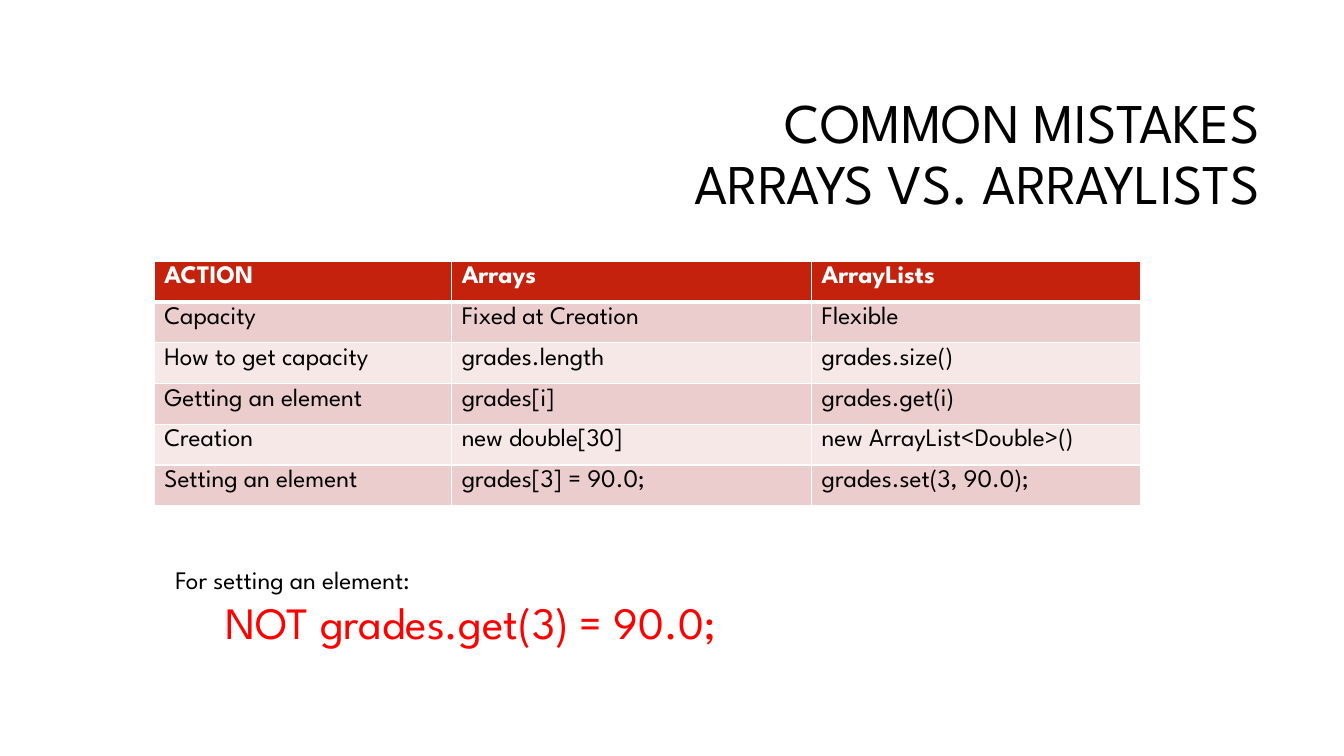
from lxml import etree
from pptx import Presentation
from pptx.dml.color import RGBColor
from pptx.enum.text import MSO_ANCHOR, PP_ALIGN
from pptx.oxml.ns import qn
from pptx.util import Inches, Pt

TITLE = "COMMON MISTAKES\vARRAYS VS. ARRAYLISTS"
ROWS = [
    ("ACTION", "Arrays", "ArrayLists"),
    ("Capacity", "Fixed at Creation", "Flexible"),
    ("How to get capacity", "grades.length", "grades.size()"),
    ("Getting an element", "grades[i]", "grades.get(i)"),
    ("Creation", "new double[30]", "new ArrayList<Double>()"),
    ("Setting an element", "grades[3] = 90.0;", "grades.set(3, 90.0);"),
]
COLUMN_WIDTHS = (2.95, 3.57, 3.26)
ROW_HEIGHT = 0.405

FONT = "League Spartan"
BLACK = RGBColor(0x00, 0x00, 0x00)
WHITE = RGBColor(0xFF, 0xFF, 0xFF)
RED = RGBColor(0xFF, 0x00, 0x00)
HEADER_RED = RGBColor(0xC4, 0x22, 0x0D)
BANDS = (RGBColor(0xF5, 0xE8, 0xE7), RGBColor(0xEA, 0xCD, 0xCC))
RIGHT = PP_ALIGN.RIGHT
MIDDLE = MSO_ANCHOR.MIDDLE

NOTE = [("For setting an element:", 18, BLACK), ("\tNOT grades.get(3) = 90.0;", 32, RED)]


def write(paragraph, text, size, color, bold=False):
    paragraph.text = text
    paragraph.font.name = FONT
    paragraph.font.size = Pt(size)
    paragraph.font.bold = bold
    paragraph.font.color.rgb = color


def add_text_frame(slide, left, top, width, height):
    box = slide.shapes.add_textbox(Inches(left), Inches(top), Inches(width), Inches(height))
    box.text_frame.word_wrap = True
    return box.text_frame


def add_borders(cell, bottom_width):
    properties = cell._tc.get_or_add_tcPr()
    for side, width in (("L", 1), ("R", 1), ("T", 1), ("B", bottom_width)):
        line = etree.SubElement(properties, qn(f"a:ln{side}"), w=str(Pt(width)))
        fill = etree.SubElement(line, qn("a:solidFill"))
        etree.SubElement(fill, qn("a:srgbClr"), val=str(WHITE))


def add_title(slide):
    frame = add_text_frame(slide, 3.17, 0.84, 9.42, 1.41)
    frame.vertical_anchor = MIDDLE
    paragraph = frame.paragraphs[0]
    write(paragraph, TITLE, 40, BLACK)
    paragraph.alignment = RIGHT
    paragraph.line_spacing = 0.9


def add_comparison(slide):
    table = slide.shapes.add_table(
        len(ROWS), len(COLUMN_WIDTHS), Inches(1.53), Inches(2.59),
        Inches(sum(COLUMN_WIDTHS)), Inches(ROW_HEIGHT * len(ROWS))).table
    for column, width in zip(table.columns, COLUMN_WIDTHS):
        column.width = Inches(width)
    for row_index, texts in enumerate(ROWS):
        header = row_index == 0
        table.rows[row_index].height = Inches(ROW_HEIGHT)
        for column_index, text in enumerate(texts):
            cell = table.cell(row_index, column_index)
            add_borders(cell, 3 if header else 1)
            cell.fill.solid()
            cell.fill.fore_color.rgb = HEADER_RED if header else BANDS[row_index % 2]
            write(cell.text_frame.paragraphs[0], text, 18, WHITE if header else BLACK, header)


def add_note(slide):
    frame = add_text_frame(slide, 1.64, 5.55, 9.6, 0.94)
    for index, (text, size, color) in enumerate(NOTE):
        paragraph = frame.add_paragraph() if index else frame.paragraphs[0]
        write(paragraph, text, size, color)


def main():
    presentation = Presentation()
    presentation.slide_width = Inches(13.33)
    presentation.slide_height = Inches(7.5)
    slide = presentation.slides.add_slide(presentation.slide_layouts[6])
    add_title(slide)
    add_comparison(slide)
    add_note(slide)
    presentation.save("out.pptx")


if __name__ == "__main__":
    main()
